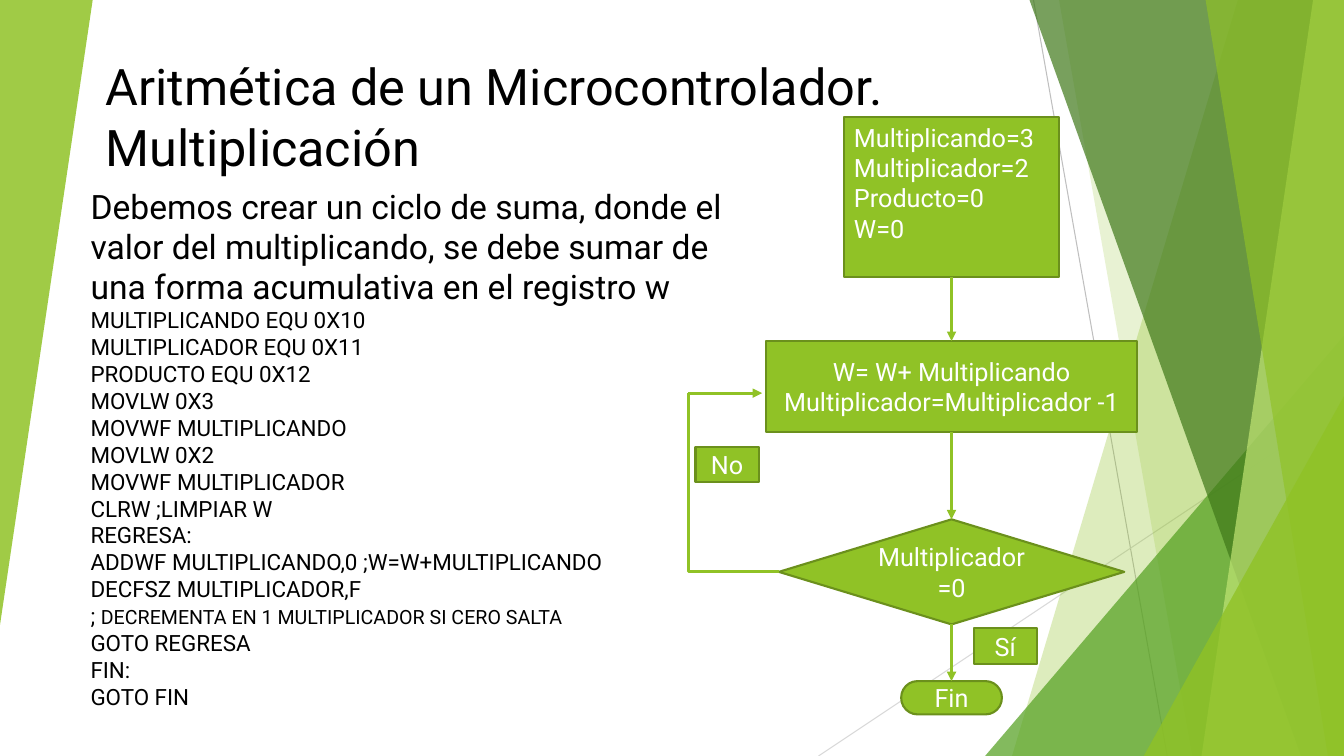
from itertools import pairwise

from lxml.etree import SubElement
from pptx import Presentation
from pptx.dml.color import RGBColor as RGB
from pptx.enum.dml import MSO_THEME_COLOR
from pptx.enum.shapes import MSO_CONNECTOR as Line, MSO_SHAPE as Shape
from pptx.enum.text import MSO_ANCHOR as Anchor, PP_ALIGN as Align
from pptx.oxml.ns import qn
from pptx.util import Inches, Pt

COLORS = {
    "green": "90C226", "border": "6B901C", "leaf": "54A021", "forest": "3F7819",
    "lime": "C0E474", "gray": "BFBFBF", "light gray": "D9D9D9",
    "black": "000000", "white": "FFFFFF",
}
FONT = "Roboto"

deck = Presentation()
deck.slide_width, deck.slide_height = Inches(13.33), Inches(7.5)
slide = deck.slides.add_slide(deck.slide_layouts[6])
shapes = slide.shapes

# The slide is a grid of 1000 columns by 1000 rows
COL, ROW = deck.slide_width / 1000, deck.slide_height / 1000


def add_line(start, end, color, width, arrow=False, kind=Line.STRAIGHT):
    line = shapes.add_connector(kind, int(start[0] * COL), int(start[1] * ROW),
                                int(end[0] * COL), int(end[1] * ROW))
    line.line.color.rgb = RGB.from_string(COLORS[color])
    line.line.width = Pt(width)
    properties = line._element.spPr
    if arrow:
        SubElement(properties.find(qn("a:ln")), qn("a:tailEnd"), type="triangle")
    SubElement(properties, qn("a:effectLst"))
    return line


def add_step(kind, left, top, width, height, lines, align=Align.CENTER):
    """Add a flowchart box with one paragraph per line."""
    step = shapes.add_shape(kind, int(left * COL), int(top * ROW),
                            int(width * COL), int(height * ROW))
    step.shadow.inherit = False
    step.fill.solid()
    step.fill.fore_color.rgb = RGB.from_string(COLORS["green"])
    step.line.color.rgb = RGB.from_string(COLORS["border"])
    step.line.width = Pt(1.5)
    frame = step.text_frame
    frame.word_wrap = True
    frame.vertical_anchor = Anchor.MIDDLE if align == Align.CENTER else Anchor.TOP
    frame.text = "\n".join(lines)
    for paragraph in frame.paragraphs:
        paragraph.alignment = align
        font = paragraph.runs[0].font
        font.name, font.size = FONT, Pt(18)
        font.color.rgb = RGB.from_string(COLORS["white"])
    return step


# Background facets
add_line((769, 0), (868.5, 1000), "gray", 0.75)
add_line((1000, 537), (609, 1000), "light gray", 0.75)

top_right, bottom_right = (1000, 0), (1000, 1000)
facets = [
    ([(921, 0), top_right, bottom_right, (753, 1000)], "green", 30),
    ([(788, 0), top_right, bottom_right, (887, 1000)], "green", 20),
    ([(1000, 444), bottom_right, (733, 1000)], "leaf", 72),
    ([(766, 0), top_right, bottom_right, (968, 1000)], "forest", 70),
    ([(977, 0), top_right, bottom_right, (894, 1000)], "lime", 70),
    ([(897, 0), top_right, bottom_right, (988, 1000)], "green", 65),
    ([(1000, 524), bottom_right, (851, 1000)], "green", 80),
    ([(0, 0), (69, 0), (0, 827)], "green", 85),
]
for corners, color, opacity in facets:
    outline = shapes.build_freeform(*corners[0], scale=(COL, ROW))
    outline.add_line_segments(corners[1:], close=True)
    facet = outline.convert_to_shape()
    facet.shadow.inherit = False
    facet.line.fill.background()
    facet.fill.solid()
    facet.fill.fore_color.rgb = RGB.from_string(COLORS[color])
    tint = facet._element.spPr.find(qn("a:solidFill")).find(qn("a:srgbClr"))
    SubElement(tint, qn("a:alpha"), val=str(opacity * 1000))

# Title, explanation and program
title = "Aritmética de un Microcontrolador. Multiplicación"
explanation = ("Debemos crear un ciclo de suma, donde el valor del multiplicando, "
               "se debe sumar de una forma acumulativa en el registro w")
program = [
    "MULTIPLICANDO EQU 0X10",
    "MULTIPLICADOR EQU 0X11",
    "PRODUCTO EQU 0X12",
    "MOVLW 0X3",
    "MOVWF MULTIPLICANDO",
    "MOVLW 0X2",
    "MOVWF MULTIPLICADOR",
    "CLRW ;LIMPIAR W",
    "REGRESA:",
    "ADDWF MULTIPLICANDO,0 ;W=W+MULTIPLICANDO",
    "DECFSZ MULTIPLICADOR,F",
    "; ",
    "GOTO REGRESA",
    "FIN:",
    "GOTO FIN",
]
remark = "DECREMENTA EN 1 MULTIPLICADOR SI CERO SALTA"
texts = [
    ((71.3, 67, 631, 175), [title], 36),
    ((60, 239, 512, 745), [explanation, *program], 24),
]
for (left, top, width, height), lines, lead_size in texts:
    box = shapes.add_textbox(int(left * COL), int(top * ROW),
                             int(width * COL), int(height * ROW))
    box.text_frame.word_wrap = True
    box.text_frame.text = "\n".join(lines)
    for number, paragraph in enumerate(box.text_frame.paragraphs):
        paragraph.runs[0].font.size = Pt(16 if number else lead_size)
        if paragraph.text == "; ":
            comment = paragraph.add_run()
            comment.text = remark
            comment.font.size = Pt(14)
        for run in paragraph.runs:
            run.font.name = FONT
            run.font.color.rgb = RGB.from_string(COLORS["black"])

# Flowchart: steps share one vertical axis
AXIS = 708
flow = [
    (Shape.FLOWCHART_PROCESS, 155, 160, 211,
     ["Multiplicando=3", "Multiplicador=2", "Producto=0", "W=0"], Align.LEFT),
    (Shape.FLOWCHART_PROCESS, 451, 276, 121,
     ["W= W+ Multiplicando", "Multiplicador=Multiplicador -1"], Align.CENTER),
    (Shape.FLOWCHART_DECISION, 687, 257, 139, ["Multiplicador=0"], Align.CENTER),
    (Shape.FLOWCHART_TERMINATOR, 901, 75, 44, ["Fin"], Align.CENTER),
]
steps = [add_step(kind, AXIS - width / 2, top, width, height, lines, align)
         for kind, top, width, height, lines, align in flow]
for upper, lower in pairwise(steps):
    arrow = add_line((AXIS, 0), (AXIS, 1000), "green", 2.25, arrow=True)
    arrow.begin_connect(upper, 2)
    arrow.end_connect(lower, 0)

# Return path from the decision to the sum
decision = steps[2]
turn = (512, 520)
back = add_line((579.5, 756.5), turn, "green", 2.25, kind=Line.ELBOW)
back._element.spPr.find(qn("a:prstGeom")).set("prst", "bentConnector2")
back.begin_connect(decision, 1)
add_line(turn, (567, 520), "green", 2.25, arrow=True)

for answer, left, top in [("No", 517.5, 591), ("Sí", 724.5, 831)]:
    add_step(Shape.RECTANGLE, left, top, 47, 47, [answer])

deck.save("out.pptx")
